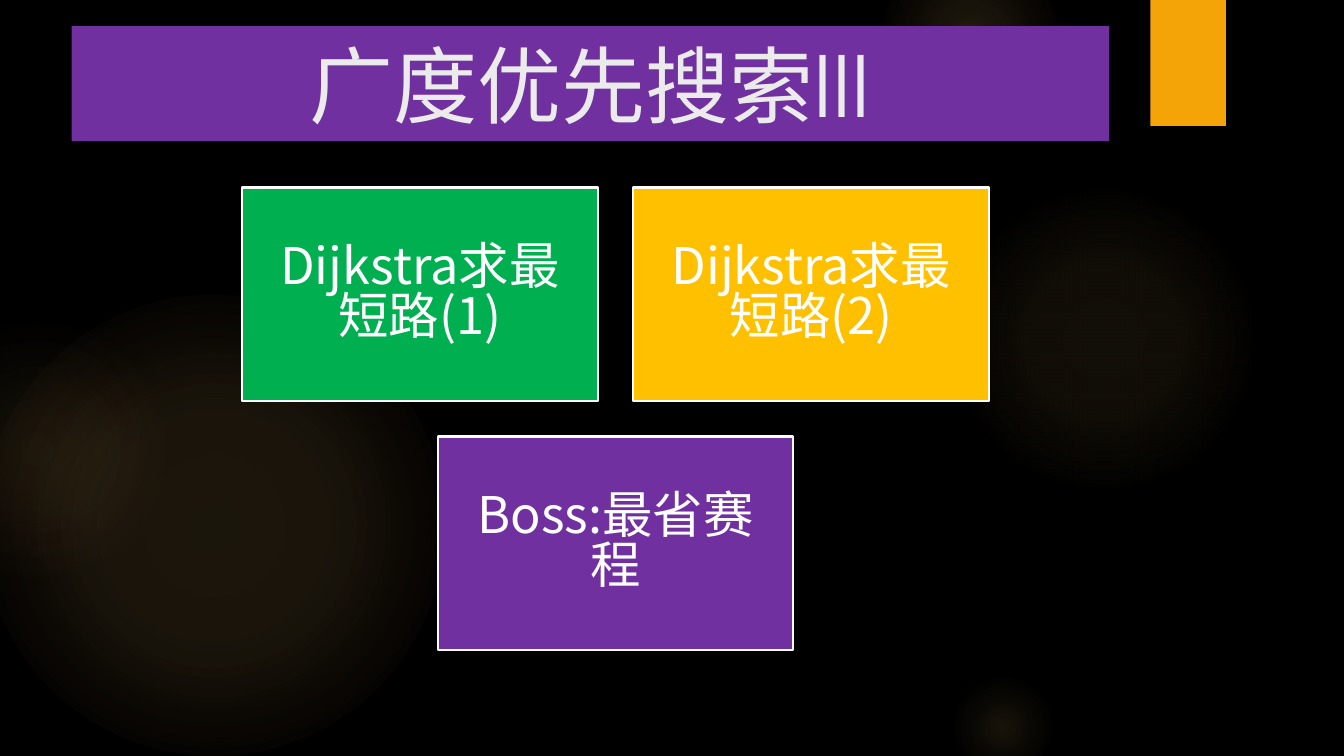
from dataclasses import dataclass

from pptx import Presentation
from pptx.dml.color import RGBColor
from pptx.enum.shapes import MSO_SHAPE
from pptx.enum.text import MSO_ANCHOR, PP_ALIGN
from pptx.oxml import parse_xml
from pptx.oxml.ns import nsdecls, qn
from pptx.util import Inches, Pt

RECTANGLE, OVAL = MSO_SHAPE.RECTANGLE, MSO_SHAPE.OVAL
MIDDLE, CENTER = MSO_ANCHOR.MIDDLE, PP_ALIGN.CENTER


@dataclass(frozen=True)
class Theme:
    background: str = "000000"
    accent: str = "F5A408"
    glow: str = "FAC96A"
    warm_glow: str = "F59B74"
    purple: str = "7030A0"
    green: str = "00B050"
    yellow: str = "FFC000"
    white: str = "FFFFFF"
    title_text: str = "EBEBEB"
    title_font: str = "TeX Gyre Adventor"
    body_font: str = "Noto Sans CJK SC"
    title_size: int = 60
    card_size: int = 36


THEME = Theme()

presentation = Presentation()
presentation.slide_width = Inches(13.33)
presentation.slide_height = Inches(7.5)
slide = presentation.slides.add_slide(presentation.slide_layouts[6])
slide.background.fill.solid()
slide.background.fill.fore_color.rgb = RGBColor.from_string(THEME.background)


def add_block(geometry, left, top, width, height, fill=None, line=None):
    """Add a shadowless shape, measured in inches, with optional fill and outline."""
    shape = slide.shapes.add_shape(
        geometry, Inches(left), Inches(top), Inches(width), Inches(height))
    shape.shadow.inherit = False
    if fill:
        shape.fill.solid()
        shape.fill.fore_color.rgb = RGBColor.from_string(fill)
    else:
        shape.fill.background()
    if line:
        shape.line.color.rgb = RGBColor.from_string(line)
        shape.line.width = Pt(1.5)
    else:
        shape.line.fill.background()
    return shape


def write_text(shape, text, size, color, font, inset=0.1, spacing=1.0):
    frame = shape.text_frame
    frame.word_wrap = True
    frame.vertical_anchor = MIDDLE
    frame.margin_left = frame.margin_right = Inches(inset)
    frame.margin_top = frame.margin_bottom = Inches(inset)
    paragraph = frame.paragraphs[0]
    paragraph.alignment = CENTER
    paragraph.line_spacing = spacing
    run = paragraph.add_run()
    run.text = text
    run.font.size = Pt(size)
    run.font.color.rgb = RGBColor.from_string(color)
    run.font.name = font
    run.font._element.append(parse_xml(
        f'<a:ea {nsdecls("a")} typeface="{THEME.body_font}"/>'))


# Soft lights: left, top, diameter, then (position %, opacity %) stops and rim colour
lights = [
    (-0.17, 2.92, 4.58, [(0, 11), (36, 10), (75, 0)], THEME.glow),
    (-0.92, 3.17, 2.58, [(0, 8), (36, 5), (71, 0)], THEME.warm_glow),
    (9.41, 1.83, 3.08, [(0, 7), (36, 6), (69, 0)], THEME.glow),
    (8.75, -0.5, 1.75, [(0, 14), (36, 7), (73, 0)], THEME.glow),
    (9.41, 6.67, 1.08, [(0, 10), (31, 5), (66, 0)], THEME.glow),
]
for left, top, diameter, stops, rim in lights:
    light = add_block(OVAL, left, top, diameter, diameter)
    stop_xml = "".join(
        f'<a:gs pos="{position * 1000}"><a:srgbClr val="{THEME.glow if opacity else rim}">'
        f'<a:alpha val="{opacity * 1000}"/></a:srgbClr></a:gs>'
        for position, opacity in stops)
    gradient = parse_xml(
        f'<a:gradFill {nsdecls("a")}><a:gsLst>{stop_xml}</a:gsLst><a:path path="circle">'
        '<a:fillToRect l="50000" t="50000" r="50000" b="50000"/></a:path></a:gradFill>')
    properties = light._element.spPr
    properties.replace(properties.find(qn("a:noFill")), gradient)

add_block(RECTANGLE, 11.41, 0, 0.75, 1.25, fill=THEME.accent)

title = add_block(RECTANGLE, 0.71, 0.26, 10.29, 1.14, fill=THEME.purple)
write_text(title, "广度优先搜索III", size=THEME.title_size, color=THEME.title_text,
           font=THEME.title_font, inset=0.05)

# Cards sit on a grid; the last one is centred under the first two
card_width, card_height, gap = 3.53, 2.12, 0.35
grid_left, grid_top = 2.4, 1.86
cards = [
    (0, 0, "Dijkstra求最短路(1)", THEME.green),
    (1, 0, "Dijkstra求最短路(2)", THEME.yellow),
    (0.5, 1, "Boss:最省赛程", THEME.purple),
]
for column, row, label, color in cards:
    card = add_block(RECTANGLE, grid_left + column * (card_width + gap),
                     grid_top + row * (card_height + gap), card_width, card_height,
                     fill=color, line=THEME.white)
    write_text(card, label, size=THEME.card_size, color=THEME.white,
               font=THEME.body_font, inset=0.15, spacing=0.84)

presentation.save("out.pptx")
